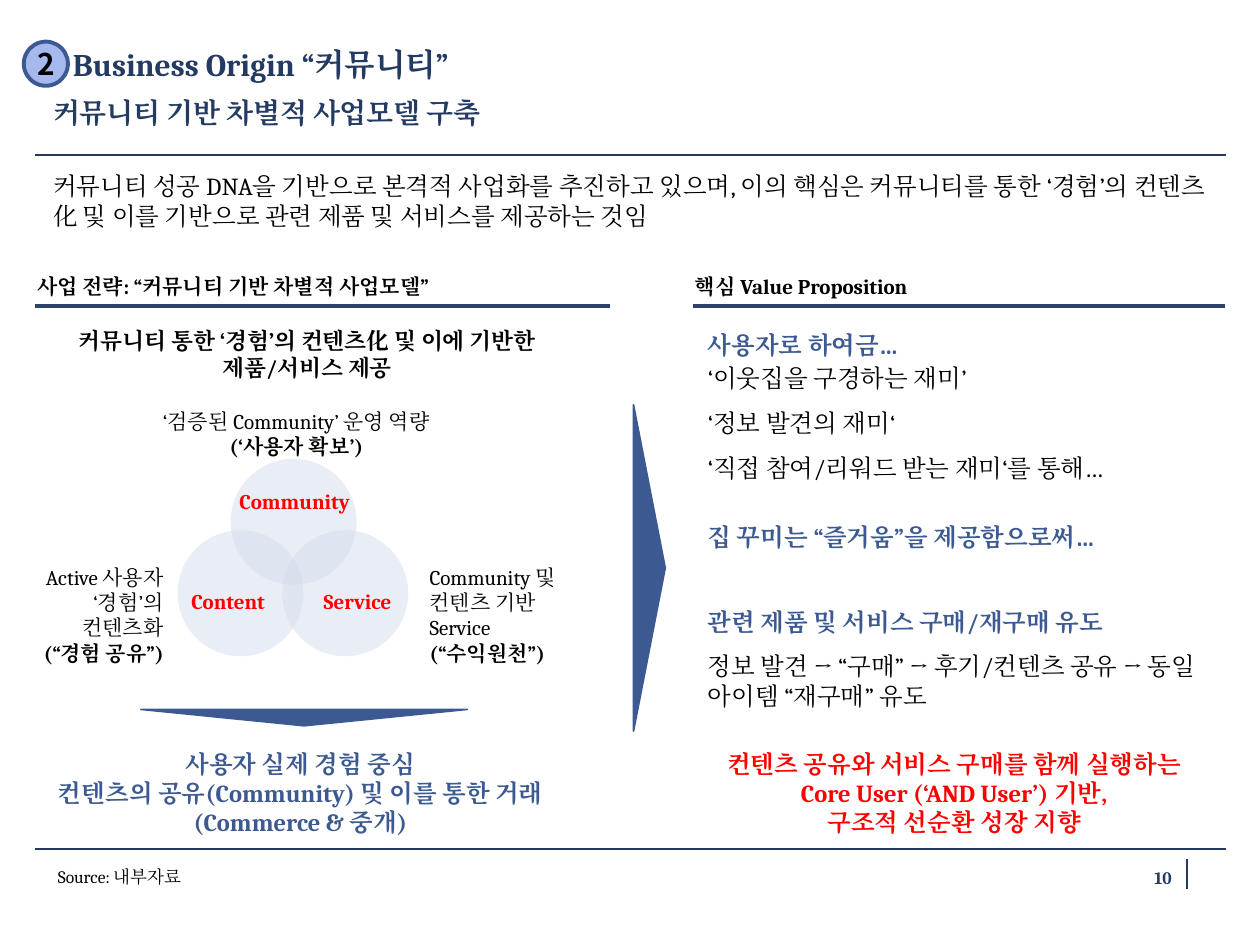
"""Build the community business model slide."""
from copy import deepcopy
from dataclasses import dataclass

from lxml import etree
from pptx import Presentation
from pptx.dml.color import RGBColor
from pptx.enum.shapes import MSO_CONNECTOR, MSO_SHAPE
from pptx.enum.text import MSO_ANCHOR, PP_ALIGN
from pptx.oxml.ns import qn
from pptx.util import Cm, Pt

LEFT, MID, RIGHT = PP_ALIGN.LEFT, PP_ALIGN.CENTER, PP_ALIGN.RIGHT
TOP, CENTER = MSO_ANCHOR.TOP, MSO_ANCHOR.MIDDLE
OVAL, WEDGE = MSO_SHAPE.OVAL, MSO_SHAPE.ISOSCELES_TRIANGLE
STRAIGHT = MSO_CONNECTOR.STRAIGHT


@dataclass(frozen=True)
class Theme:
    """Colours, fonts and type sizes."""
    navy: str = "233A63"
    rule: str = "2D436D"
    blue: str = "3C5A91"
    pale: str = "D4DDED"
    badge: str = "A6B9EF"
    red: str = "FF0000"
    black: str = "000000"
    font: str = "Cambria"
    sans: str = "Noto Sans CJK KR"
    title: int = 18
    digit: int = 17
    sub: int = 16
    body: int = 14
    lead: int = 13
    note: int = 12
    small: int = 10


def write(frame, text, *, size, color, font, bold=False, tail="", align=LEFT,
          anchor=TOP, after=9, wrap=True):
    """Fill a frame; each item of text is a paragraph, tail is a bold last line."""
    frame.word_wrap = wrap
    frame.vertical_anchor = anchor
    frame.margin_left = frame.margin_right = 0
    frame.margin_top = frame.margin_bottom = 0
    for i, item in enumerate([text] if isinstance(text, str) else text):
        para = frame.paragraphs[0] if i == 0 else frame.add_paragraph()
        para.alignment = align
        para.space_after = Pt(after)
        lines = [(line, bold) for line in item.split("\n")]
        if tail:
            lines.append((tail, True))
        for j, (line, heavy) in enumerate(lines):
            if j:
                para.add_line_break()
            run = para.add_run()
            run.text = line
            run.font.size = Pt(size)
            run.font.bold = heavy
            run.font.color.rgb = RGBColor.from_string(color)
            run.font.name = font
            props = run._r.get_or_add_rPr()
            etree.SubElement(props, qn("a:ea"), typeface=font)
        for brk in para._p.findall(qn("a:br")):
            brk.insert(0, deepcopy(props))


class Page:
    """Holds the theme and the current slide."""

    def __init__(self, slide, theme):
        """Keep the slide and its theme."""
        self.slide, self.theme = slide, theme

    def style(self, form):
        """Complete a text format with the theme's defaults."""
        base = self.theme
        return {"size": base.body, "color": base.black, "font": base.font, **form}

    def title(self, text, box, **form):
        """Place and fill the title."""
        shape = self.slide.shapes.title
        shape.left, shape.top, shape.width, shape.height = map(Cm, box)
        write(shape.text_frame, text, **self.style(form))

    def text(self, text, box, **form):
        """Add a text box."""
        shape = self.slide.shapes.add_textbox(*map(Cm, box))
        write(shape.text_frame, text, **self.style(form))

    def line(self, start, end, color, width=1.0):
        """Add a straight line."""
        link = self.slide.shapes.add_connector(STRAIGHT, *map(Cm, start + end))
        link.line.color.rgb = RGBColor.from_string(color)
        link.line.width = Pt(width)
        etree.SubElement(link._element.spPr, qn("a:effectLst"))

    def shape(self, kind, box, fill, edge=None, width=1.0, turn=0, alpha=None):
        """Add a filled shape and return it."""
        shape = self.slide.shapes.add_shape(kind, *map(Cm, box))
        shape.shadow.inherit = False
        shape.rotation = turn
        shape.fill.solid()
        shape.fill.fore_color.rgb = RGBColor.from_string(fill)
        if alpha:
            tint = shape._element.spPr.find(".//" + qn("a:srgbClr"))
            etree.SubElement(tint, qn("a:alpha"), val=str(alpha * 1000))
        if edge:
            shape.line.color.rgb = RGBColor.from_string(edge)
            shape.line.width = Pt(width)
        else:
            shape.line.fill.background()
        return shape

    def head(self, text, left, right):
        """Add a column heading above its rule."""
        self.text(text, (left + 0.04, 5.38, right - left, 0.79),
                  size=self.theme.note, bold=True, anchor=CENTER, after=0)
        self.line((left, 6.17), (right, 6.17), self.theme.rule, 2.25)

    def venn(self, rings):
        """Add overlapping circles, then their labels."""
        for _, left, top, _, _ in rings:
            self.shape(OVAL, (left, top, 2.54, 2.54), self.theme.pale, alpha=50)
        for name, _, _, left, top in rings:
            self.text(name, (left, top, 4.32, 1.09), size=self.theme.note,
                      color=self.theme.red, bold=True, align=MID,
                      anchor=CENTER, after=0)


def frame(page, look):
    """Add the title, intro, rules and footer."""
    for y in (3.12, 17.12):
        page.line((0.71, y), (24.71, y), look.navy)
    page.line((23.93, 17.32), (23.93, 17.93), look.navy)
    page.title("Business Origin “커뮤니티”", (1.47, 0.91, 17.7, 0.91),
               size=look.title, color=look.navy, bold=True, after=0)
    page.text("커뮤니티 기반 차별적 사업모델 구축", (1.07, 1.93, 18.08, 1.09),
              size=look.sub, color=look.navy, bold=True)
    page.text("커뮤니티 성공 DNA을 기반으로 본격적 사업화를 추진하고 있으며, 이의 핵심은 "
              "커뮤니티를 통한 ‘경험’의 컨텐츠化 및 이를 기반으로 관련 제품 및 서비스를 "
              "제공하는 것임", (1.07, 3.45, 23.24, 1.73))
    page.text("Source: 내부자료", (1.17, 17.45, 16.89, 0.74), size=look.small)
    page.text("10", (21.89, 17.32, 1.73, 0.74), size=look.small,
              color=look.navy, bold=True, align=RIGHT, anchor=CENTER, after=0)
    badge = page.shape(OVAL, (0.48, 0.84, 0.89, 0.89), look.badge, look.blue, 2.25)
    write(badge.text_frame, "2", size=look.digit, color=look.black, font=look.sans,
          bold=True, align=MID, anchor=CENTER, after=0, wrap=False)


def plan(page, look):
    """Add the strategy column."""
    page.head("사업 전략: “커뮤니티 기반 차별적 사업모델”", 0.71, 12.29)
    page.text("커뮤니티 통한 ‘경험’의 컨텐츠化 및 이에 기반한\n제품/서비스 제공",
              (0.74, 6.58, 10.9, 1.32), size=look.lead, bold=True, align=MID)
    notes = [
        ("‘검증된 Community’ 운영 역량", "(‘사용자 확보’)", 2.18, 8.23, 7.59, MID),
        ("Active 사용자 ‘경험’의\n컨텐츠화", "(“경험 공유”)", 0.51, 11.38, 2.79, RIGHT),
        ("Community 및 컨텐츠 기반 Service", "(“수익원천”)", 8.66, 11.38, 3.25, LEFT),
    ]
    for text, tail, left, top, wide, align in notes:
        page.text(text, (left, top, wide, 0.91), size=look.note, tail=tail, align=align)
    page.venn([("Community", 4.65, 9.25, 3.78, 9.55),
               ("Content", 3.58, 10.69, 2.44, 11.58),
               ("Service", 5.69, 10.69, 5.05, 11.58)])
    page.shape(WEDGE, (2.84, 14.3, 6.58, 0.33), look.blue, look.blue, turn=180)
    page.text("사용자 실제 경험 중심\n컨텐츠의 공유(Community) 및 이를 통한 거래"
              "(Commerce & 중개)", (0.38, 15.09, 11.35, 1.27),
              color=look.blue, bold=True, align=MID)


def value(page, look):
    """Add the value column."""
    page.head("핵심 Value Proposition", 13.97, 24.69)
    page.shape(WEDGE, (9.8, 11.13, 6.58, 0.64), look.blue, look.blue, turn=90)
    strong = {"color": look.blue, "bold": True}
    close = {"color": look.red, "bold": True, "align": MID}
    rows = [
        (6.65, 0.76, "사용자로 하여금…", strong),
        (7.32, 2.64, ["‘이웃집을 구경하는 재미’", "‘정보 발견의 재미‘",
                      "‘직접 참여/리워드 받는 재미‘를 통해…"], {}),
        (10.52, 0.76, "집 꾸미는 “즐거움”을 제공함으로써…", strong),
        (12.24, 0.76, "관련 제품 및 서비스 구매/재구매 유도", strong),
        (13.13, 1.91, "정보 발견 → “구매” → 후기/컨텐츠 공유 → "
                      "동일 아이템 “재구매” 유도", {}),
        (15.09, 1.42, "컨텐츠 공유와 서비스 구매를 함께 실행하는\n"
                      "Core User (‘AND User’) 기반,\n구조적 선순환 성장 지향", close),
    ]
    for top, high, text, form in rows:
        page.text(text, (14.27, top, 9.93, high), **form)


def main():
    """Build and save the deck."""
    deck = Presentation()
    deck.slide_width, deck.slide_height = Cm(25.4), Cm(19.05)
    look = Theme()
    page = Page(deck.slides.add_slide(deck.slide_layouts[5]), look)
    for part in (frame, plan, value):
        part(page, look)
    deck.save("out.pptx")


if __name__ == "__main__":
    main()
